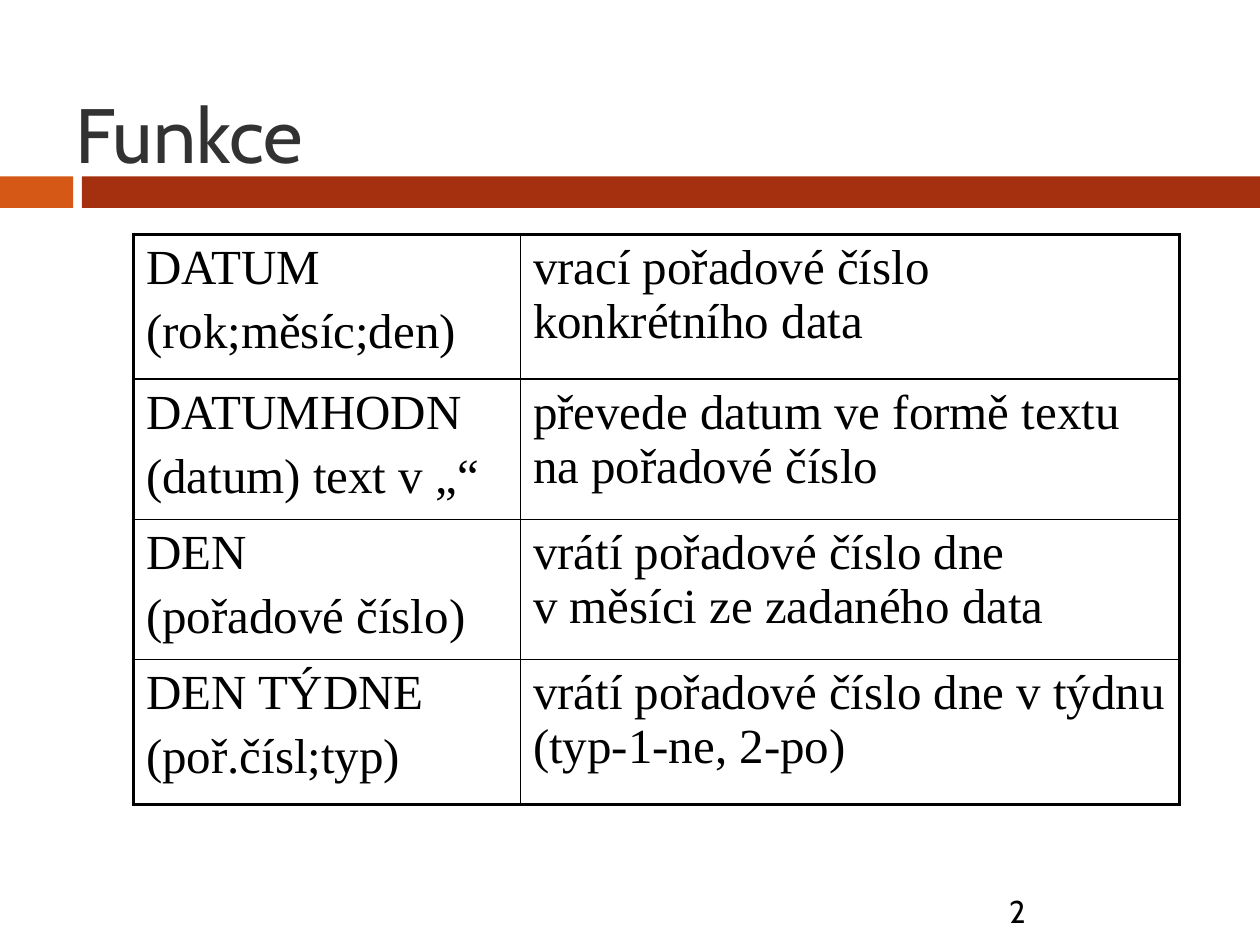
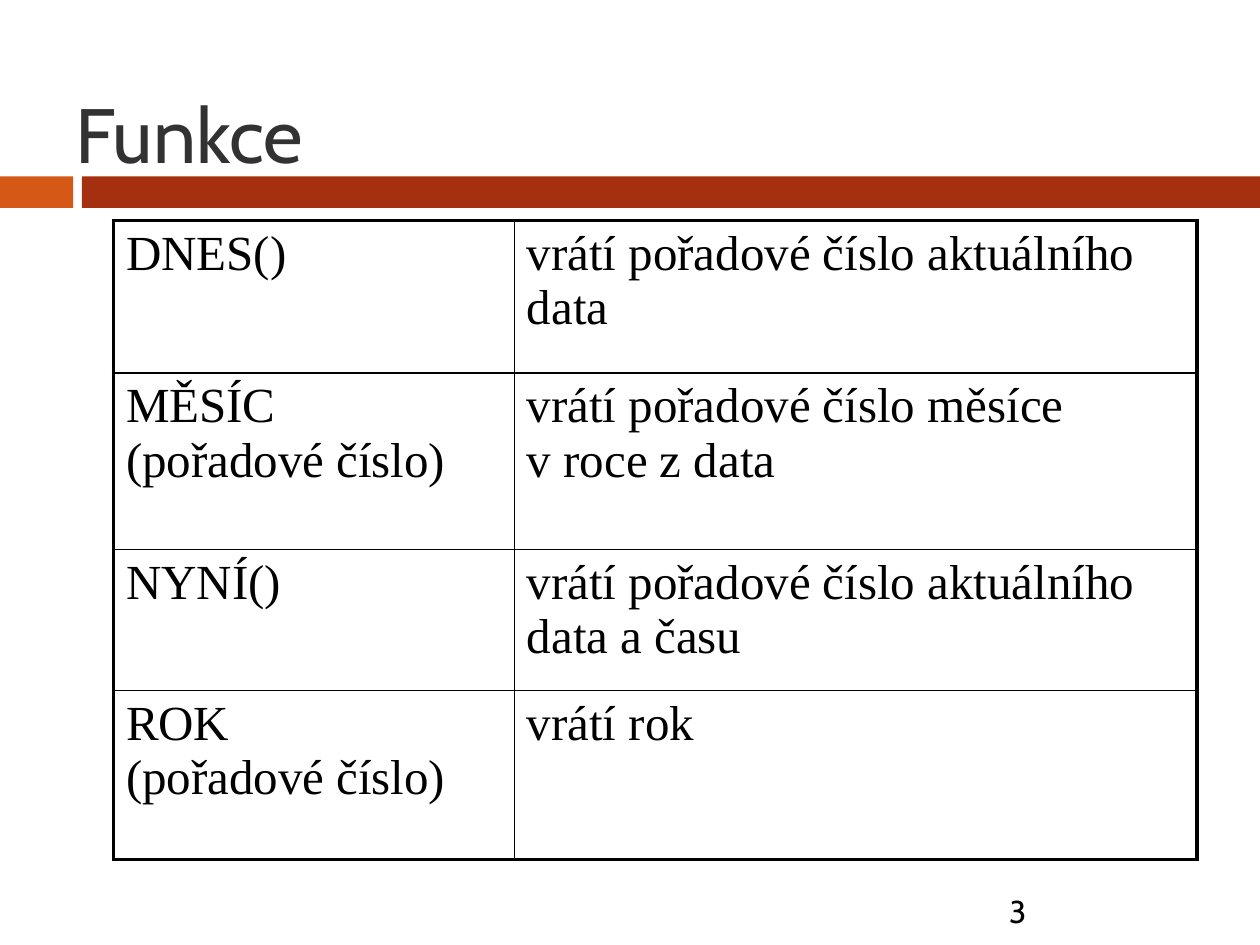
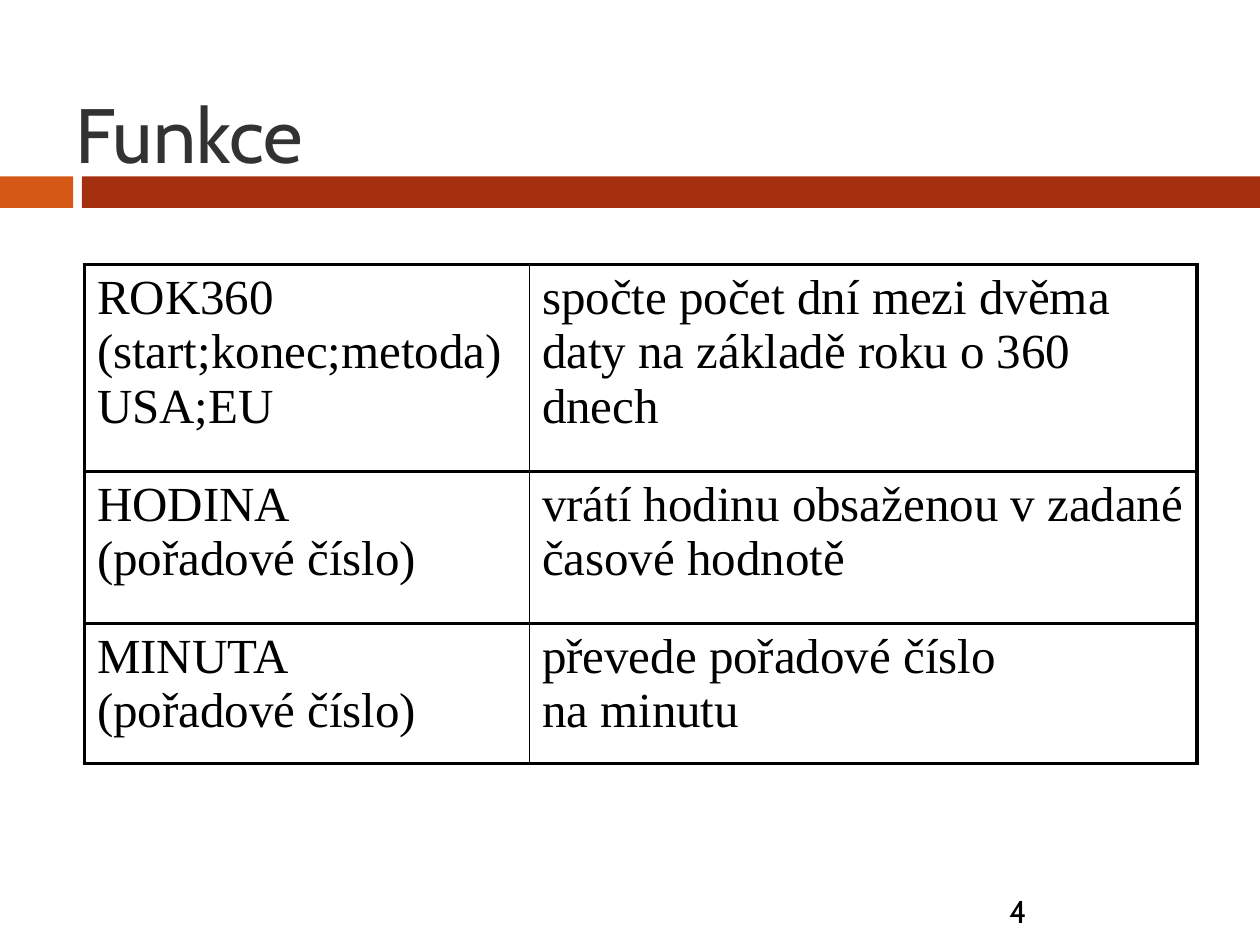
import pptx
import pptx.dml.color
import pptx.enum.shapes
import pptx.enum.text
import pptx.util
from dataclasses import dataclass
from lxml import etree
from pptx.oxml.ns import qn


@dataclass(frozen=True)
class Theme:
    accent: str = "D55816"
    band: str = "A5300F"
    title: str = "323232"
    ink: str = "000000"
    heading_font: str = "Cabin"
    table_font: str = "Times New Roman"
    title_size: float = 44
    table_size: float = 28
    number_size: float = 18
    outer_rule: float = 2.25
    inner_rule: float = 1


THEME = Theme()
WIDTH, HEIGHT = 10, 7.5
BAND_TOP, BAND_HEIGHT = 1.4, 0.25
BANDS = [(0, 0.58, THEME.accent), (0.65, WIDTH - 0.65, THEME.band)]
TITLE_BOX = (0.5, 0.27, 9.17, 1.57)
NUMBER_BOX = (7.91, 7.03, 1.02, 0.4)
FIRST_NUMBER = 2

SLIDES = [
    {
        "title": "Funkce",
        "corner": (1.06, 1.86), "width": 8.3, "name_share": 0.37,
        "row_heights": [1.15, 1.11, 1.11, 1.15],
        "row_rule": THEME.inner_rule, "space_before": 0.2,
        "functions": [
            ("DATUM\n(rok;měsíc;den)", "vrací pořadové číslo konkrétního data"),
            ("DATUMHODN\n(datum) text v „“", "převede datum ve formě textu na pořadové číslo"),
            ("DEN\n(pořadové číslo)", "vrátí pořadové číslo dne\vv měsíci ze zadaného data"),
            ("DEN TÝDNE\n(poř.čísl;typ)", "vrátí pořadové číslo dne v týdnu (typ-1-ne, 2-po)"),
        ],
    },
    {
        "title": "Funkce",
        "corner": (0.9, 1.75), "width": 8.6, "name_share": 0.37,
        "row_heights": [1.21, 1.4, 1.12, 1.34],
        "row_rule": THEME.inner_rule, "space_before": 0,
        "functions": [
            ("DNES()", "vrátí pořadové číslo aktuálního data"),
            ("MĚSÍC\n(pořadové číslo)", "vrátí pořadové číslo měsíce\vv roce z data"),
            ("NYNÍ()", "vrátí pořadové číslo aktuálního data a času"),
            ("ROK\n(pořadové číslo)", "vrátí rok"),
        ],
    },
    {
        "title": "Funkce",
        "corner": (0.67, 2.1), "width": 8.83, "name_share": 0.4,
        "row_heights": [1.64, 1.21, 1.11],
        "row_rule": THEME.outer_rule, "space_before": 0,
        "functions": [
            ("ROK360\n(start;konec;metoda)\nUSA;EU",
             "spočte počet dní mezi dvěma daty na základě roku o 360 dnech"),
            ("HODINA\n(pořadové číslo)", "vrátí hodinu obsaženou v zadané časové hodnotě"),
            ("MINUTA\n(pořadové číslo)", "převede pořadové číslo\vna minutu"),
        ],
    },
]


def inches(lengths):
    return [pptx.util.Inches(length) for length in lengths]


def color(code):
    return pptx.dml.color.RGBColor.from_string(code)


def write(frame, text, font, size, ink, space_before=0):
    frame.word_wrap = True
    frame.text = text
    for position, paragraph in enumerate(frame.paragraphs):
        paragraph.alignment = pptx.enum.text.PP_ALIGN.LEFT
        if position and space_before:
            paragraph.space_before = pptx.util.Pt(size * space_before)
        for run in paragraph.runs:
            run.font.name = font
            run.font.size = pptx.util.Pt(size)
            run.font.color.rgb = color(ink)


def add_bands(slide):
    for left, width, fill in BANDS:
        band = slide.shapes.add_shape(
            pptx.enum.shapes.MSO_SHAPE.RECTANGLE,
            *inches((left, BAND_TOP, width, BAND_HEIGHT)))
        band.shadow.inherit = False
        band.fill.solid()
        band.fill.fore_color.rgb = color(fill)
        band.line.fill.background()


def add_title(slide, text):
    title = slide.shapes.title
    title.left, title.top, title.width, title.height = inches(TITLE_BOX)
    write(title.text_frame, text, THEME.heading_font, THEME.title_size, THEME.title)
    title.text_frame.vertical_anchor = pptx.enum.text.MSO_ANCHOR.MIDDLE


def add_number(slide, number):
    box = slide.shapes.add_textbox(*inches(NUMBER_BOX))
    write(box.text_frame, str(number), THEME.heading_font, THEME.number_size, THEME.ink)


def set_borders(cell, rules):
    properties = cell._tc.get_or_add_tcPr()
    for side, weight in rules.items():
        line = etree.SubElement(properties, qn(f"a:ln{side}"), w=str(pptx.util.Pt(weight)))
        fill = etree.SubElement(line, qn("a:solidFill"))
        etree.SubElement(fill, qn("a:srgbClr"), val=THEME.ink)


def add_functions(slide, content):
    functions, heights = content["functions"], content["row_heights"]
    shares = (content["name_share"], 1 - content["name_share"])
    table = slide.shapes.add_table(
        len(functions), len(shares),
        *inches((*content["corner"], content["width"], sum(heights)))).table
    table.first_row = table.horz_banding = False
    for column, share in zip(table.columns, shares):
        column.width = pptx.util.Inches(content["width"] * share)
    last = len(functions) - 1
    for row, (entry, height) in enumerate(zip(functions, heights)):
        table.rows[row].height = pptx.util.Inches(height)
        for column, text in enumerate(entry):
            cell = table.cell(row, column)
            write(cell.text_frame, text, THEME.table_font, THEME.table_size,
                  THEME.ink, content["space_before"])
            set_borders(cell, {
                "L": THEME.inner_rule if column else THEME.outer_rule,
                "R": THEME.outer_rule if column else THEME.inner_rule,
                "T": content["row_rule"] if row else THEME.outer_rule,
                "B": content["row_rule"] if row < last else THEME.outer_rule,
            })
            cell.fill.background()


def main():
    deck = pptx.Presentation()
    deck.slide_width, deck.slide_height = inches((WIDTH, HEIGHT))
    title_only = deck.slide_layouts.get_by_name("Title Only")
    for number, content in enumerate(SLIDES, FIRST_NUMBER):
        slide = deck.slides.add_slide(title_only)
        add_bands(slide)
        add_title(slide, content["title"])
        add_number(slide, number)
        add_functions(slide, content)
    deck.save("out.pptx")


if __name__ == "__main__":
    main()
